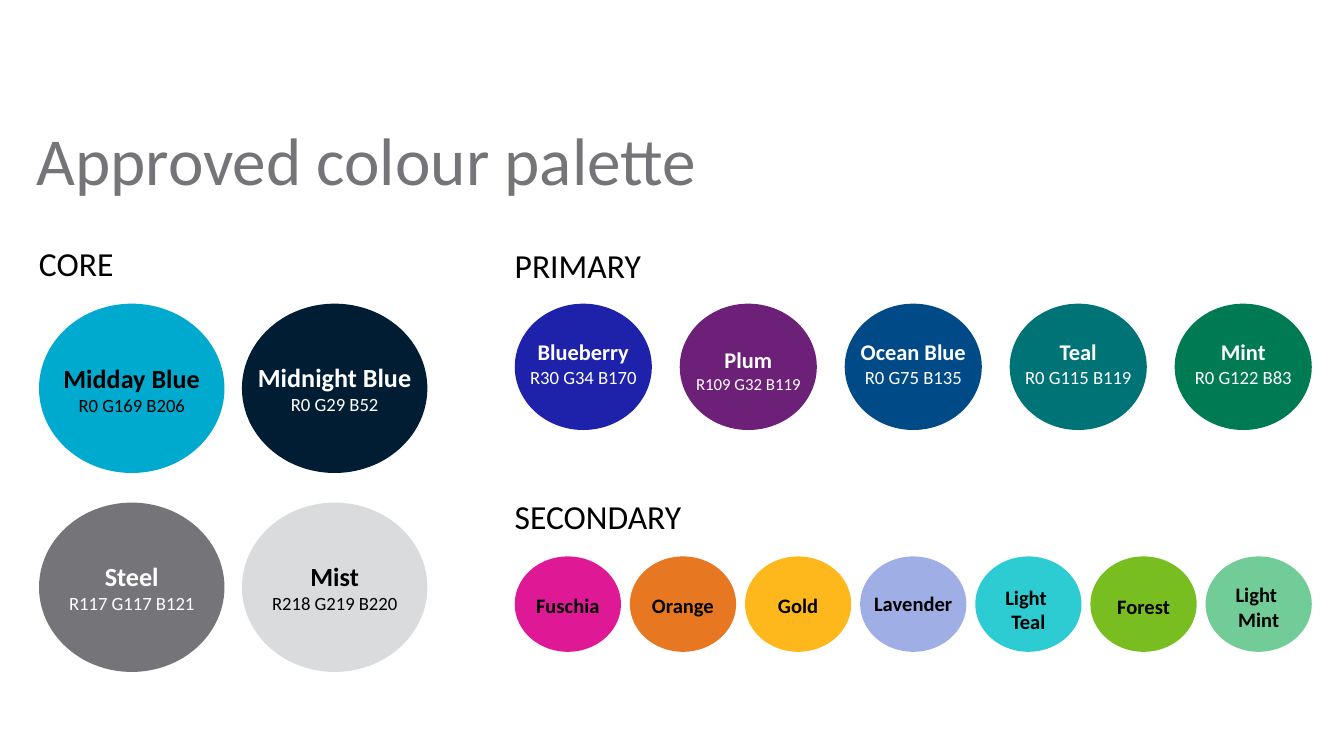
import pptx
import pptx.util
import pptx.dml.color
import pptx.enum.shapes
import pptx.enum.text

WIDE = 10
HIGH = WIDE * 9 / 16
HUES = {
    "Midday Blue": "00A9CE", "Midnight Blue": "001D34",
    "Steel": "757579", "Mist": "DADBDC",
    "Blueberry": "1E22AA", "Plum": "6D2077", "Ocean Blue": "004B87",
    "Teal": "007377", "Mint": "007A53",
    "Fuschia": "DF1995", "Orange": "E87722", "Gold": "FFB81C",
    "Lavender": "9FAEE5", "Light \vTeal": "2DCCD3",
    "Forest": "78BE20", "Light \vMint": "71CC98",
    "black": "000000", "white": "FFFFFF", "title": "757579",
}
FONT = "Calibri"
TITLE = "Approved colour palette"

CORE = [
    ("Midday Blue", "R0 G169 B206", 10, "black", 0.39),
    ("Midnight Blue", "R0 G29 B52", 10, "white", 0.38),
    ("Steel", "R117 G117 B121", 10, "white", 0.38),
    ("Mist", "R218 G219 B220", 10, "black", 0.38),
]
PRIMARY = [
    ("Blueberry", "R30 G34 B170", 10, "white", 0.21),
    ("Plum", "R109 G32 B119", 9, "white", 0.27),
    ("Ocean Blue", "R0 G75 B135", 10, "white", 0.21),
    ("Teal", "R0 G115 B119", 10, "white", 0.21),
    ("Mint", "R0 G122 B83", 10, "white", 0.21),
]
SECOND = [
    ("Fuschia", "", 0, "black", 0.22),
    ("Orange", "", 0, "black", 0.22),
    ("Gold", "", 0, "black", 0.22),
    ("Lavender", "", 0, "black", 0.21),
    ("Light \vTeal", "", 0, "black", 0.16),
    ("Forest", "", 0, "black", 0.23),
    ("Light \vMint", "", 0, "black", 0.14),
]
BANDS = [
    dict(head="CORE", head_top=1.81, head_wide=1.91, items=CORE, cols=2,
         left=0.29, right=3.18, top=2.26, size=(1.38, 1.26), step=1.48, pt=14),
    dict(head="PRIMARY", head_top=1.82, head_wide=2.44, items=PRIMARY, cols=5,
         left=3.83, right=9.76, top=2.26, size=(1.02, 0.94), step=0, pt=12),
    dict(head="SECONDARY", head_top=3.69, head_wide=2.44, items=SECOND, cols=7,
         left=3.83, right=9.76, top=4.14, size=(0.79, 0.71), step=0, pt=11),
]


def tint(name):
    return pptx.dml.color.RGBColor.from_string(HUES[name])


def box(*sides):
    return [pptx.util.Inches(side) for side in sides]


def write(shapes, area, lines, ink, label=False):
    frame = shapes.add_textbox(*box(*area)).text_frame
    frame.word_wrap = not label
    if not label:
        frame.margin_left = frame.margin_right = 0
        frame.margin_top = frame.margin_bottom = 0
    frame.text = "\n".join(text for text, size in lines)
    for row, (para, line) in enumerate(zip(frame.paragraphs, lines)):
        if label:
            para.alignment = pptx.enum.text.PP_ALIGN.CENTER
        for run in para.runs:
            run.font.name = FONT
            run.font.size = pptx.util.Pt(line[1])
            run.font.bold = label and row == 0
            run.font.color.rgb = tint(ink)


def swatch(slide, band, place, item):
    name, code, small, ink, drop = item
    wide, high = band["size"]
    row, col = divmod(place, band["cols"])
    pitch = (band["right"] - band["left"] - wide) / (band["cols"] - 1)
    left = band["left"] + col * pitch
    top = band["top"] + row * band["step"]
    group = slide.shapes.add_group_shape()
    disc = group.shapes.add_shape(
        pptx.enum.shapes.MSO_SHAPE.OVAL, *box(left, top, wide, high))
    disc.shadow.inherit = False
    disc.fill.solid()
    disc.fill.fore_color.rgb = tint(name)
    disc.line.fill.background()
    lines = [(name, band["pt"])] + ([(code, small)] if code else [])
    rows = [band["pt"]] * name.count("\v") + [size for text, size in lines]
    tall = 0.1 + sum(rows) * 1.22 / 72
    write(group.shapes, (left, top + drop, wide, tall), lines, ink, True)


def main():
    deck = pptx.Presentation()
    deck.slide_width = pptx.util.Inches(WIDE)
    deck.slide_height = pptx.util.Inches(HIGH)
    slide = deck.slides.add_slide(deck.slide_layouts[6])
    write(slide.shapes, (0.27, 0.88, 9.45, 0.7), [(TITLE, 36)], "title")
    for band in BANDS:
        write(slide.shapes,
              (band["left"], band["head_top"], band["head_wide"], 0.3),
              [(band["head"], 18)], "black")
        for place, item in enumerate(band["items"]):
            swatch(slide, band, place, item)
    deck.save("out.pptx")


if __name__ == "__main__":
    main()
